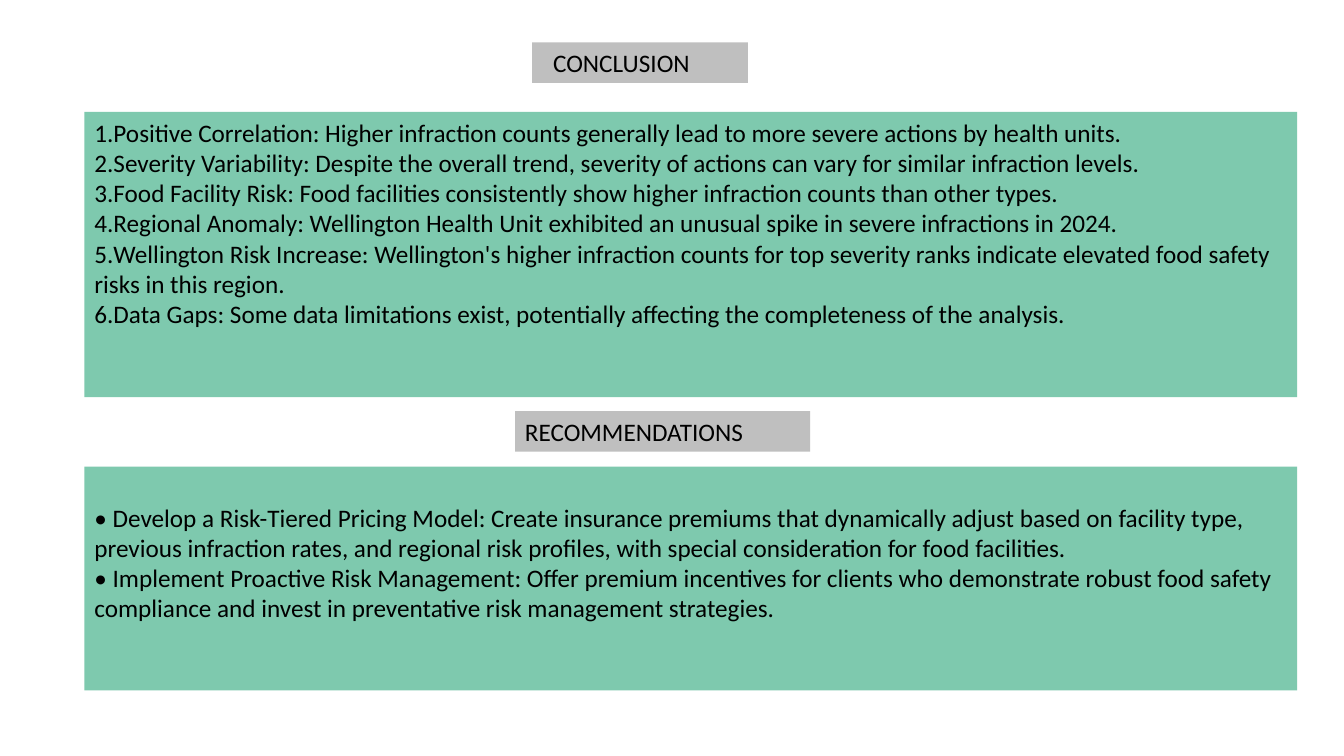
from pptx import Presentation
from pptx import util as u
from pptx.dml.color import RGBColor
from pptx.enum import text as t
from pptx.oxml.ns import qn
from lxml import etree

GREEN = RGBColor(0x7E, 0xC9, 0xAE)
GRAY = RGBColor(0xBF, 0xBF, 0xBF)
BLACK = RGBColor(0, 0, 0)

PANEL_LEFT, PANEL_WIDTH = 2.13, 30.56
HEADING_HEIGHT = 1.02

CONCLUSIONS = [
    "Positive Correlation: Higher infraction counts generally lead to more severe actions by health units.",
    "Severity Variability: Despite the overall trend, severity of actions can vary for similar infraction levels.",
    "Food Facility Risk: Food facilities consistently show higher infraction counts than other types.",
    "Regional Anomaly: Wellington Health Unit exhibited an unusual spike in severe infractions in 2024.",
    "Wellington Risk Increase: Wellington's higher infraction counts for top severity ranks indicate elevated food safety risks in this region.",
    "Data Gaps: Some data limitations exist, potentially affecting the completeness of the analysis.",
]
RECOMMENDATIONS = [
    "• Develop a Risk-Tiered Pricing Model: Create insurance premiums that dynamically adjust based on facility type, previous infraction rates, and regional risk profiles, with special consideration for food facilities.",
    "• Implement Proactive Risk Management: Offer premium incentives for clients who demonstrate robust food safety compliance and invest in preventative risk management strategies.",
]


def write(paragraph, words, numbered=False, size=18, color=BLACK, font="Calibri"):
    if numbered:
        properties = paragraph._p.get_or_add_pPr()
        properties.set("marL", "0")
        properties.set("indent", "0")
        etree.SubElement(properties, qn("a:buFont"), typeface="+mj-lt")
        etree.SubElement(properties, qn("a:buAutoNum"), type="arabicPeriod")
    paragraph.alignment = t.PP_ALIGN.LEFT
    run = paragraph.add_run()
    run.text = words
    run.font.name = font
    run.font.size = u.Pt(size)
    run.font.color.rgb = color


def filled_box(slide, box, fill, lines, inset_left=0.25, inset_top=0.13, numbered=False):
    block = slide.shapes.add_textbox(*map(u.Cm, box))
    block.fill.solid()
    block.fill.fore_color.rgb = fill
    frame = block.text_frame
    frame.word_wrap = True
    frame.vertical_anchor = t.MSO_ANCHOR.TOP
    frame.margin_left = u.Cm(inset_left)
    frame.margin_top = u.Cm(inset_top)
    for index, line in enumerate(lines):
        paragraph = frame.add_paragraph() if index else frame.paragraphs[0]
        write(paragraph, line, numbered=numbered)


def heading(slide, left, top, width, title, **insets):
    filled_box(slide, (left, top, width, HEADING_HEIGHT), GRAY, [title], **insets)


def panel(slide, top, height, lines, **layout):
    filled_box(slide, (PANEL_LEFT, top, PANEL_WIDTH, height), GREEN, lines, **layout)


def conclusion(slide, top):
    heading(slide, 13.41, top, 5.44, "CONCLUSION", inset_left=0.53)
    panel(slide, top + 1.75, 7.19, CONCLUSIONS, numbered=True)


def recommendations(slide, top):
    heading(slide, 12.98, top, 7.44, "RECOMMENDATIONS")
    panel(slide, top + 1.4, 5.64, RECOMMENDATIONS, inset_top=0.89)


def main():
    deck = Presentation()
    deck.slide_width, deck.slide_height = u.Cm(33.87), u.Cm(19.05)
    slide = deck.slides.add_slide(deck.slide_layouts[6])
    conclusion(slide, 1.07)
    recommendations(slide, 10.36)
    deck.save("out.pptx")


if __name__ == "__main__":
    main()
